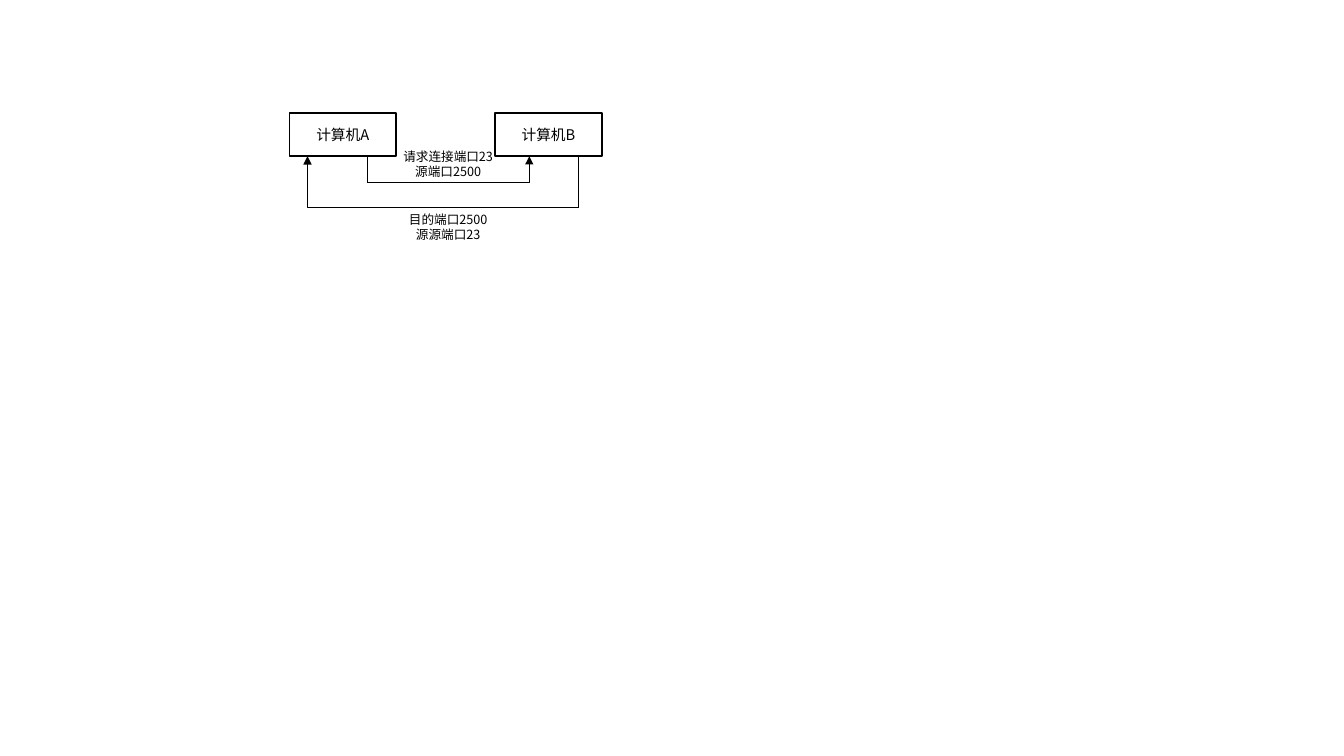
from pptx import Presentation
from pptx.dml.color import RGBColor
from pptx.enum.shapes import MSO_CONNECTOR, MSO_SHAPE
from pptx.enum.text import MSO_ANCHOR, PP_ALIGN
from pptx.oxml.ns import qn
from pptx.util import Pt
from lxml import etree

PX = 9144  # EMU; 100 px to the inch
FONT = "Noto Sans CJK SC"
BLACK, WHITE = "000000", "FFFFFF"
RECTANGLE = MSO_SHAPE.RECTANGLE
STRAIGHT, ELBOW = MSO_CONNECTOR.STRAIGHT, MSO_CONNECTOR.ELBOW
CENTER = PP_ALIGN.CENTER
TOP, MIDDLE = MSO_ANCHOR.TOP, MSO_ANCHOR.MIDDLE


def px(*lengths):
    return [length * PX for length in lengths]


def color(value):
    return RGBColor.from_string(value)


def set_attributes(target, values):
    for name, value in values.items():
        setattr(target, name, value)


def write_text(shape, lines, size, anchor):
    frame = shape.text_frame
    set_attributes(frame, {
        "word_wrap": True, "vertical_anchor": anchor,
        "margin_left": 5 * PX, "margin_right": 5 * PX,
        "margin_top": 5 * PX, "margin_bottom": 5 * PX,
    })
    frame.text = "\n".join(lines)
    for paragraph in frame.paragraphs:
        paragraph.alignment = CENTER
        for run in paragraph.runs:
            set_attributes(run.font, {"size": Pt(size), "name": FONT})
            run.font.color.rgb = color(BLACK)
            east_asian = etree.SubElement(run.font._element, qn("a:ea"))
            east_asian.set("typeface", FONT)


def add_computer(slide, name, left, top, width, height):
    shape = slide.shapes.add_shape(RECTANGLE, *px(left, top, width, height))
    shape.shadow.inherit = False
    shape.fill.solid()
    shape.fill.fore_color.rgb = color(WHITE)
    shape.line.color.rgb = color(BLACK)
    shape.line.width = Pt(1)
    write_text(shape, [name], 10.5, MIDDLE)


def add_label(slide, lines, left, top, width, height):
    box = slide.shapes.add_textbox(*px(left, top, width, height))
    write_text(box, lines, 9, TOP)


def add_line(slide, kind, start, end):
    line = slide.shapes.add_connector(kind, *px(*start, *end))
    line.line.color.rgb = color(BLACK)
    line.line.width = Pt(0.5)
    etree.SubElement(line._element.spPr, qn("a:effectLst"))
    return line


def add_route(slide, start_x, end_x, top, bottom):
    """Run down from one computer, across, and up to the other with an arrow."""
    add_line(slide, STRAIGHT, (start_x, top), (start_x, bottom))
    arrow = add_line(slide, ELBOW, (start_x, bottom), (end_x, top))
    geometry = arrow._element.spPr.find(qn("a:prstGeom"))
    guides = geometry.find(qn("a:avLst"))
    if guides is None:
        guides = etree.SubElement(geometry, qn("a:avLst"))
    etree.SubElement(guides, qn("a:gd"), name="adj1", fmla="val 100000")
    outline = arrow._element.spPr.find(qn("a:ln"))
    etree.SubElement(outline, qn("a:tailEnd"), type="triangle")


def add_port_diagram(slide, left, top):
    width, height, step = 106, 43, 204
    for index, name in enumerate(["计算机A", "计算机B"]):
        add_computer(slide, name, left + index * step, top, width, height)
    bottom = top + height
    add_route(slide, left + 77, left + 238, bottom, bottom + 26)
    add_route(slide, left + 287, left + 18, bottom, bottom + 51)
    labels = [
        (["请求连接端口23", "源端口2500"], 31),
        (["目的端口2500", "源源端口23"], 93),
    ]
    for lines, offset in labels:
        add_label(slide, lines, left + 101, top + offset, 113, 40)


def main():
    presentation = Presentation()
    set_attributes(presentation, {"slide_width": 1333 * PX, "slide_height": 750 * PX})
    slide = presentation.slides.add_slide(presentation.slide_layouts[6])
    add_port_diagram(slide, 287, 112)
    presentation.save("out.pptx")


if __name__ == "__main__":
    main()
